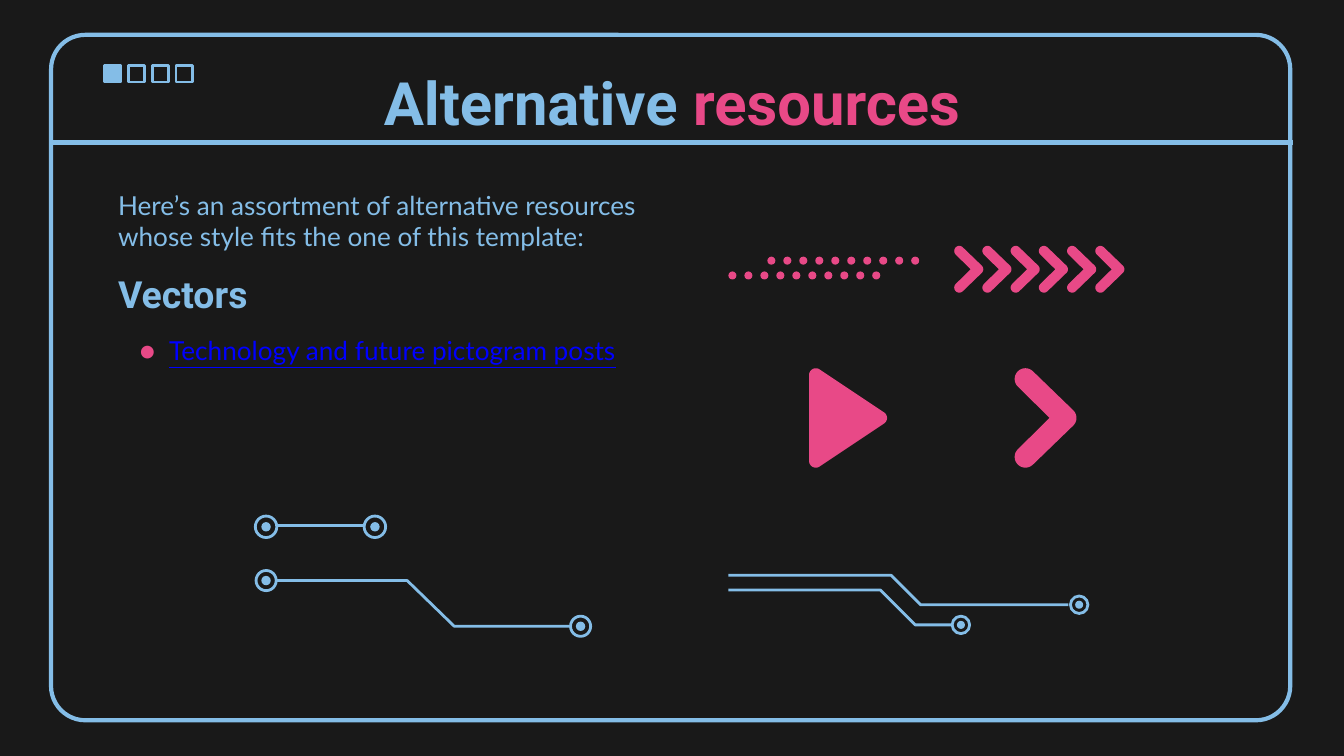
from math import cos, radians, sin

from pptx import Presentation
from pptx.dml.color import RGBColor
from pptx.enum.shapes import MSO_CONNECTOR as Connector, MSO_SHAPE as Preset
from pptx.enum.text import MSO_ANCHOR as Anchor, PP_ALIGN as Align
from pptx.oxml.ns import qn
from pptx.util import Inches, Pt
from lxml.etree import SubElement

BLUE, PINK, LINK, DARK = "84BDE7", "E84987", "0000FF", "191919"


def rgb(color):
    return RGBColor.from_string(color)


def style(shape, fill=None, line=None, weight=1.5):
    shape.shadow.inherit = False
    if fill:
        shape.fill.solid()
        shape.fill.fore_color.rgb = rgb(fill)
    else:
        shape.fill.background()
    if line:
        shape.line.color.rgb = rgb(line)
        shape.line.width = Pt(weight)
    else:
        shape.line.fill.background()
    return shape


def add_preset(slide, kind, left, top, width, height, **look):
    box = [Inches(value) for value in (left, top, width, height)]
    return style(slide.shapes.add_shape(kind, *box), **look)


def add_disc(slide, x, y, size, **look):
    """Circle centred on x, y."""
    add_preset(slide, Preset.OVAL, x - size / 2, y - size / 2, size, size, **look)


def add_node(slide, x, y, ring, dot):
    add_disc(slide, x, y, ring, line=BLUE)
    add_disc(slide, x, y, dot, fill=BLUE)


def add_line(slide, x1, y1, x2, y2, weight=1.5):
    ends = [Inches(value) for value in (x1, y1, x2, y2)]
    line = slide.shapes.add_connector(Connector.STRAIGHT, *ends)
    line.line.color.rgb = rgb(BLUE)
    line.line.width = Pt(weight)
    SubElement(line._element.spPr, qn("a:effectLst"))


def add_outline(slide, points, close=False, **look):
    start, *rest = [(Inches(x), Inches(y)) for x, y in points]
    builder = slide.shapes.build_freeform(*start)
    builder.add_line_segments(rest, close=close)
    style(builder.convert_to_shape(), **look)


def arc(x, y, radius, start, end, steps=16):
    """Points on an arc; angles in degrees, clockwise from the right."""
    angles = [radians(start + (end - start) * i / steps) for i in range(steps + 1)]
    return [(x + radius * cos(a), y + radius * sin(a)) for a in angles]


def add_chevron(slide, left, top, scale=1.0):
    r = 0.08 * scale
    middle, bottom = top + 0.37 * scale, top + 0.74 * scale
    points = arc(left + r, top + r, r, -45, -225)
    points.append((left + 0.26 * scale, middle))
    points += arc(left + r, bottom - r, r, 225, 45)
    points += arc(left + 0.38 * scale, middle, r, 45, -45)
    add_outline(slide, points, close=True, fill=PINK)


def add_play(slide, left, top, width, height, r=0.05):
    points = arc(left + r, top + r, r, 180, 305)
    points += arc(left + width - r, top + height / 2, r, -55, 55)
    points += arc(left + r, top + height - r, r, 55, 180)
    add_outline(slide, points, close=True, fill=PINK)


def add_text_frame(slide, left, top, width, height, anchor=Anchor.TOP):
    box = [Inches(value) for value in (left, top, width, height)]
    frame = slide.shapes.add_textbox(*box).text_frame
    frame.word_wrap = True
    frame.vertical_anchor = anchor
    frame.margin_left = frame.margin_right = Inches(0.1)
    frame.margin_top = frame.margin_bottom = Inches(0.1)
    return frame


def add_text(paragraph, text, size=14, font="Lato", color=BLUE, bold=False, underline=False):
    run = paragraph.add_run()
    run.text = text
    run.font.size = Pt(size)
    run.font.name = font
    run.font.color.rgb = rgb(color)
    run.font.bold = bold
    run.font.underline = underline


def add_bullet(paragraph):
    properties = paragraph._p.get_or_add_pPr()
    properties.set("marL", str(Inches(0.38)))
    properties.set("indent", str(Inches(-0.22)))
    bullet_color = SubElement(properties, qn("a:buClr"))
    SubElement(bullet_color, qn("a:srgbClr"), val=PINK)
    SubElement(properties, qn("a:buFont"), typeface="Lato")
    SubElement(properties, qn("a:buChar"), char="●")


def add_frame(slide):
    border = add_preset(slide, Preset.ROUNDED_RECTANGLE, 0.38, 0.26, 9.22, 5.1,
                        line=BLUE, weight=2.25)
    border.adjustments[0] = 0.05
    add_line(slide, 0.37, 1.06, 9.62, 1.06, weight=2.25)
    for i in range(4):
        add_preset(slide, Preset.RECTANGLE, 0.78 + 0.53 * i / 3, 0.49, 0.12, 0.12,
                   fill=None if i else BLUE, line=BLUE)


def add_wording(slide):
    body = add_text_frame(slide, 0.78, 1.31, 4.22, 1.7)
    add_text(body.paragraphs[0], "Here’s an assortment of alternative resources "
             "whose style fits the one of this template:")
    heading = body.add_paragraph()
    heading.space_before = Pt(10)
    add_text(heading, "Vectors", size=20, font="Roboto", bold=True)
    item = body.add_paragraph()
    item.space_before = Pt(10)
    add_bullet(item)
    add_text(item, "Technology and future pictogram posts", color=LINK, underline=True)

    title = add_text_frame(slide, 0.79, 0.49, 8.42, 0.63, Anchor.BOTTOM).paragraphs[0]
    title.alignment = Align.CENTER
    for text, color in (("Alternative ", BLUE), ("resources", PINK)):
        add_text(title, text, size=32, font="Roboto", color=color, bold=True)


def add_pink_signs(slide):
    for x, y in ((5.45, 2.05), (5.74, 1.94)):
        for i in range(10):
            add_disc(slide, x + 1.07 * i / 9, y, 0.06, fill=PINK)
    for i in range(6):
        add_chevron(slide, 7.1 + 0.21 * i, 1.83, scale=0.47)
    add_chevron(slide, 7.55, 2.74)
    add_play(slide, 6.02, 2.74, 0.58, 0.74)


def add_circuits(slide):
    add_line(slide, 2.07, 3.91, 2.7, 3.91)
    tracks = (
        [(2.06, 4.32), (3.03, 4.32), (3.38, 4.66), (4.25, 4.66)],
        [(5.42, 4.28), (6.63, 4.28), (6.85, 4.5), (7.95, 4.5)],
        [(5.42, 4.39), (6.55, 4.39), (6.81, 4.65), (7.09, 4.65)],
    )
    for track in tracks:
        add_outline(slide, track, line=BLUE)
    nodes = (
        (1.98, 3.92, 0.16, 0.07), (2.79, 3.92, 0.16, 0.07),
        (1.98, 4.32, 0.15, 0.07), (4.32, 4.66, 0.15, 0.07),
        (7.15, 4.65, 0.13, 0.06), (8.03, 4.5, 0.13, 0.06),
    )
    for node in nodes:
        add_node(slide, *node)


def main():
    deck = Presentation()
    deck.slide_width = Inches(10)
    deck.slide_height = deck.slide_width * 9 // 16
    slide = deck.slides.add_slide(deck.slide_layouts[6])
    slide.background.fill.solid()
    slide.background.fill.fore_color.rgb = rgb(DARK)
    add_frame(slide)
    add_wording(slide)
    add_pink_signs(slide)
    add_circuits(slide)
    deck.save("out.pptx")


if __name__ == "__main__":
    main()
